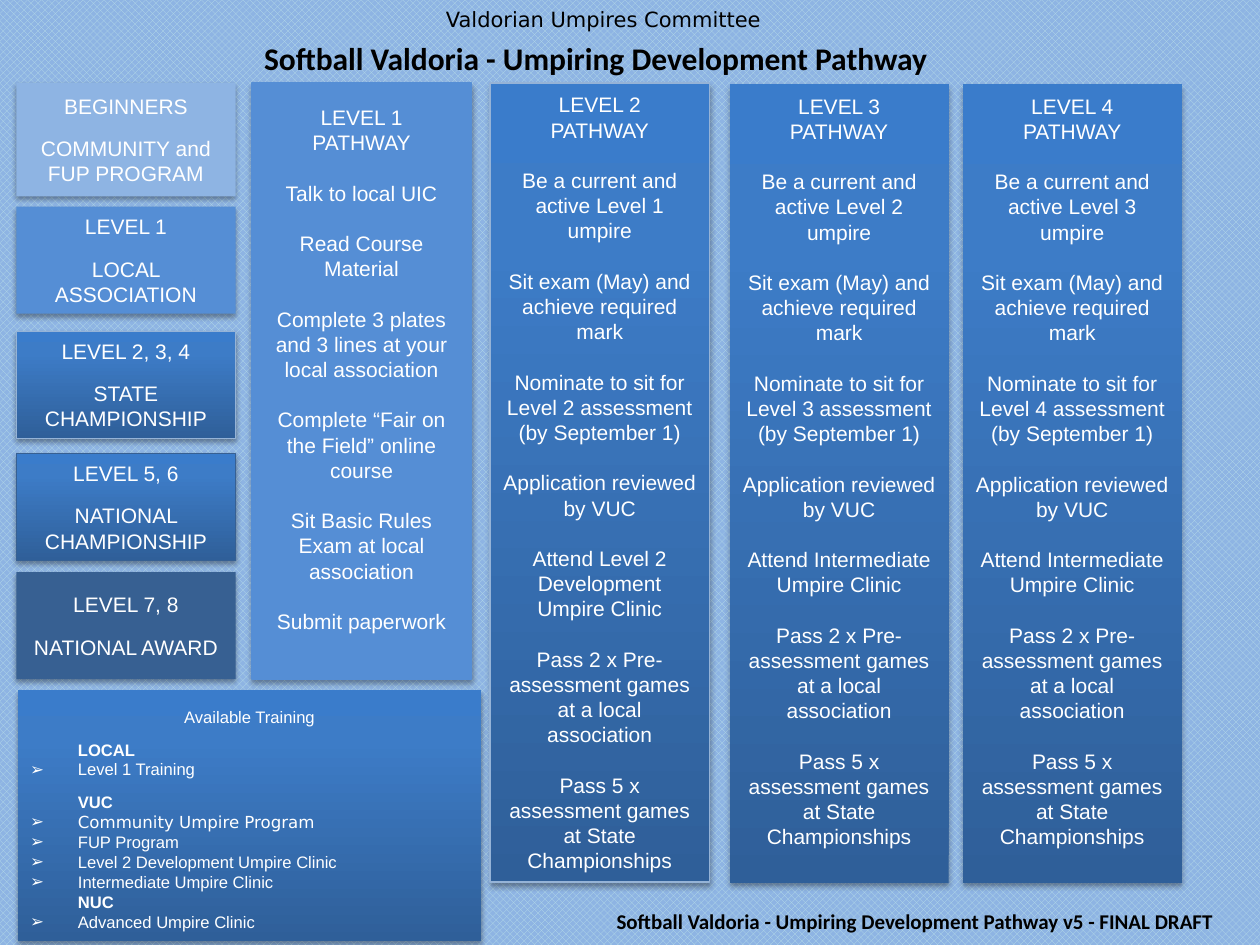
from copy import deepcopy
from lxml.etree import SubElement
from pptx import Presentation
from pptx.dml.color import RGBColor
from pptx.enum.dml import MSO_PATTERN
from pptx.enum.shapes import MSO_SHAPE
from pptx.enum.text import MSO_ANCHOR as ANCHOR, MSO_AUTO_SIZE, PP_ALIGN as ALIGN
from pptx.oxml.ns import qn
from pptx.util import Inches, Pt

GRADIENT = [(0, "2F5F99"), (0.8, "3D7CC7"), (1, "3A7CCB")]
LINE_RATIO = 1.2


def rgb(value):
    return RGBColor.from_string(value)


def place(sp, box):
    sp.left, sp.top, sp.width, sp.height = [Inches(v) for v in box]


def style_run(p, size, color="FFFFFF", font="Arial", bold=False):
    for r in p.runs:
        r.font.name, r.font.size, r.font.bold = font, Pt(size), bold
        r.font.color.rgb = rgb(color)


def add_shadow(sp):
    sp.shadow.inherit = False
    effects = sp.element.spPr.find(qn("a:effectLst"))
    shadow = SubElement(effects, qn("a:outerShdw"), blurRad=str(Pt(3.1)),
                        dist=str(Pt(1.8)), dir="5400000", rotWithShape="0")
    color = SubElement(shadow, qn("a:srgbClr"), val="000000")
    SubElement(color, qn("a:alpha"), val="35000")


def fill_gradient(sp):
    sp.fill.gradient()
    sp.fill.gradient_angle = 90
    stops = sp.element.spPr.find(".//" + qn("a:gsLst"))
    stops.append(deepcopy(stops[0]))
    for stop, (position, color) in zip(sp.fill.gradient_stops, GRADIENT):
        stop.position = position
        stop.color.rgb = rgb(color)


def add_panel(shapes, box, fill=None, line=None):
    sp = shapes.add_shape(MSO_SHAPE.RECTANGLE, *[Inches(v) for v in box])
    if fill:
        sp.fill.solid()
        sp.fill.fore_color.rgb = rgb(fill)
    else:
        fill_gradient(sp)
    if line:
        sp.line.color.rgb = rgb(line)
        sp.line.width = Pt(0.75)
    else:
        sp.line.fill.background()
    add_shadow(sp)
    sp.text_frame.word_wrap = True
    return sp.text_frame


def add_lines(tf, lines, size):
    tf.text = "\n".join(lines)
    for p in tf.paragraphs:
        p.alignment = ALIGN.CENTER
        p.line_spacing = Pt(size * LINE_RATIO)
        style_run(p, size)


def add_stage(shapes, box, lines, fill, line):
    tf = add_panel(shapes, box, fill, line)
    tf.vertical_anchor = ANCHOR.MIDDLE
    add_lines(tf, lines, 12)
    tf.paragraphs[0].space_after = Pt(9.6)


def add_pathway(shapes, box, level, steps, inset, fill=None, line=None):
    tf = add_panel(shapes, box, fill, line)
    tf.vertical_anchor = ANCHOR.TOP
    tf.margin_top = Inches(inset)
    add_lines(tf, [f"LEVEL {level}", "PATHWAY", *steps], 12)
    for p in tf.paragraphs[2:]:
        p.space_before = Pt(12 * LINE_RATIO)


def assessed_steps(level, clinic):
    return [
        f"Be a current and active Level {level - 1} umpire",
        "Sit exam (May) and achieve required mark",
        f"Nominate to sit for Level {level} assessment (by September 1)",
        "Application reviewed by VUC",
        f"Attend {clinic} Umpire Clinic",
        "Pass 2 x Pre-assessment games at a local association",
        "Pass 5 x assessment games at State Championships",
    ]


def add_training(shapes, box, groups):
    tf = add_panel(shapes, box)
    tf.vertical_anchor = ANCHOR.TOP
    tf.margin_top = Inches(0.13)
    lines = ["Available Training"]
    for heading, _, courses in groups:
        lines += [heading, *courses]
    add_lines(tf, lines, 9.5)
    gaps = {heading: gap for heading, gap, _ in groups}
    for p in tf.paragraphs[1:]:
        p.alignment = ALIGN.LEFT
        pPr = p._p.get_or_add_pPr()
        pPr.set("marL", str(Inches(0.38)))
        if p.text in gaps:
            p.space_before = Pt(gaps[p.text])
            style_run(p, 9.5, bold=True)
        else:
            pPr.set("indent", str(-Inches(0.38)))
            SubElement(pPr, qn("a:buFont"), typeface="Arial")
            SubElement(pPr, qn("a:buChar"), char="\u27a2")
            if p.text.startswith("Community"):
                style_run(p, 9.5, font="DejaVu Sans")


def set_caption(sp, box, text, size, font, bold, align, anchor):
    place(sp, box)
    tf = sp.text_frame
    tf.text = text
    tf.word_wrap = True
    tf.auto_size = MSO_AUTO_SIZE.NONE
    tf.vertical_anchor = anchor
    p = tf.paragraphs[0]
    p.alignment = align
    style_run(p, size, "000000", font, bold)


prs = Presentation()
prs.slide_width, prs.slide_height = Inches(10), Inches(7.5)
s = prs.slides.add_slide(prs.slide_layouts[5])
background = s.background.fill
background.patterned()
background.pattern = MSO_PATTERN.SOLID_DIAMOND
background.fore_color.rgb = rgb("B7DEE8")
background.back_color.rgb = rgb("8EB4E3")

title = "Softball Valdoria - Umpiring Development Pathway"
set_caption(s.shapes.title, (1.81, 0.26, 5.84, 0.4), title,
            18, "Calibri", True, ALIGN.CENTER, ANCHOR.TOP)
committee = s.shapes.add_textbox(0, 0, 0, 0)
set_caption(committee, (1.04, 0, 7.5, 0.3), "Valdorian Umpires Committee",
            12, "DejaVu Sans", False, ALIGN.CENTER, ANCHOR.MIDDLE)

STAGES = [
    (0.66, 0.9, ["BEGINNERS", "COMMUNITY and", "FUP PROGRAM"], "8EB4E3", None),
    (1.64, 0.85, ["LEVEL 1", "LOCAL ASSOCIATION"], "558ED5", None),
    (2.63, 0.85, ["LEVEL 2, 3, 4", "STATE CHAMPIONSHIP"], None, "95B3D7"),
    (3.6, 0.85, ["LEVEL 5, 6", "NATIONAL CHAMPIONSHIP"], None, "376092"),
    (4.54, 0.85, ["LEVEL 7, 8", "NATIONAL AWARD"], "376092", None),
]
stages = s.shapes.add_group_shape()
for top, height, lines, fill, line in STAGES:
    add_stage(stages.shapes, (0.13, top, 1.74, height), lines, fill, line)

LEVEL_1_STEPS = [
    "Talk to local UIC",
    "Read Course Material",
    "Complete 3 plates and 3 lines at your local association",
    "Complete \u201cFair on the Field\u201d online course",
    "Sit Basic Rules Exam at local association",
    "Submit paperwork",
]
add_pathway(s.shapes, (2, 0.66, 1.74, 4.73), 1, LEVEL_1_STEPS, 0.17,
            "558ED5", "558ED5")
ASSESSED = [
    (2, 3.89, 0.66, "Level 2 Development", "95B3D7"),
    (3, 5.79, 0.67, "Intermediate", None),
    (4, 7.64, 0.67, "Intermediate", None),
]
for level, left, top, clinic, line in ASSESSED:
    add_pathway(s.shapes, (left, top, 1.74, 6.34), level,
                assessed_steps(level, clinic), 0.07, line=line)

TRAINING = [
    ("LOCAL", 7.2, ["Level 1 Training"]),
    ("VUC", 7.2, ["Community Umpire Program", "FUP Program",
                  "Level 2 Development Umpire Clinic",
                  "Intermediate Umpire Clinic"]),
    ("NUC", 0, ["Advanced Umpire Clinic"]),
]
add_training(s.shapes, (0.14, 5.48, 3.68, 1.99), TRAINING)

version = s.shapes.add_textbox(0, 0, 0, 0)
set_caption(version, (3.42, 7.14, 6.31, 0.34), f"{title} v5 - FINAL DRAFT",
            12, "Calibri", True, ALIGN.RIGHT, ANCHOR.MIDDLE)
prs.save("out.pptx")
